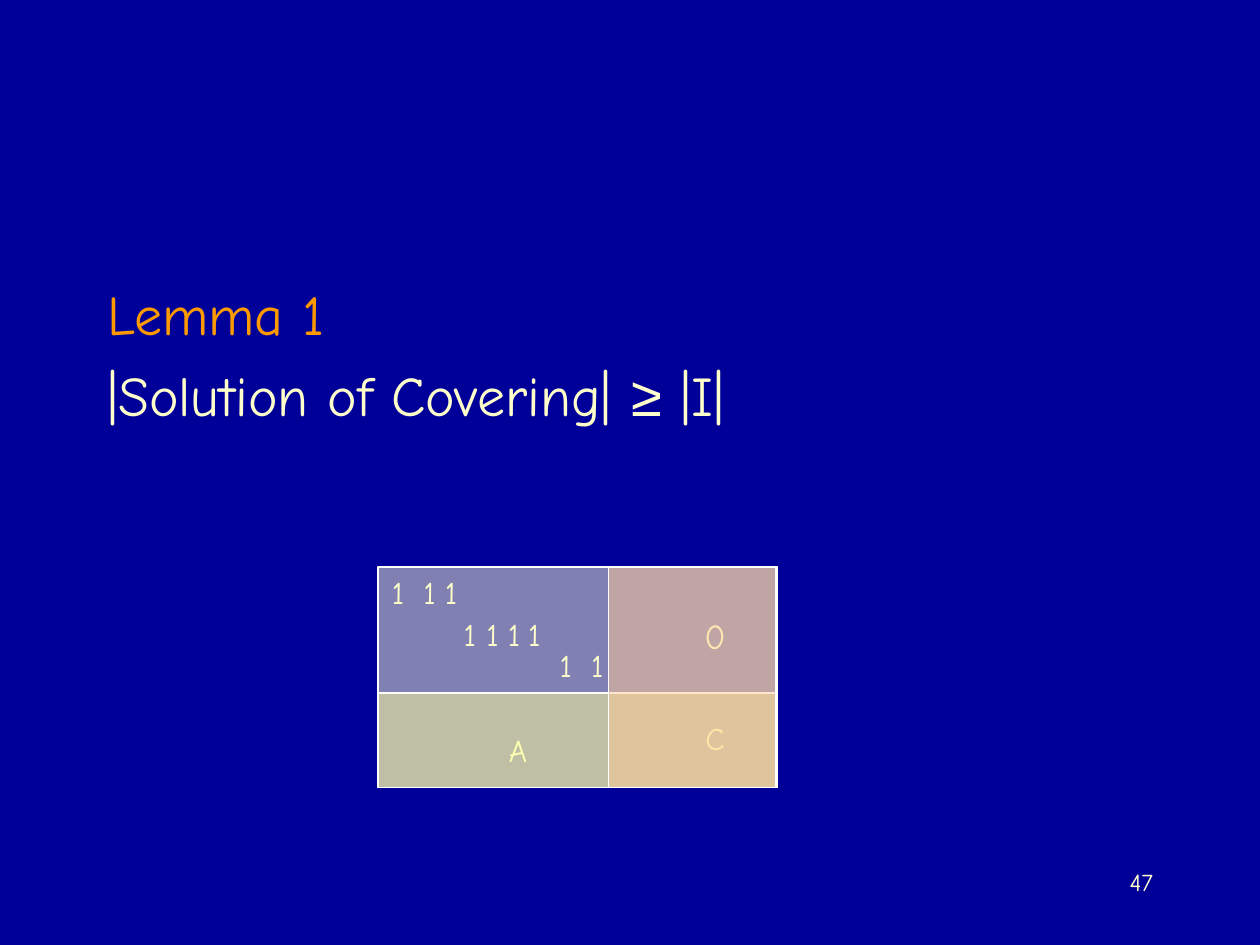
from dataclasses import dataclass

from lxml.etree import SubElement
from pptx import Presentation
from pptx.dml.color import RGBColor
from pptx.enum.shapes import MSO_SHAPE
from pptx.enum.text import MSO_ANCHOR, MSO_AUTO_SIZE, PP_ALIGN
from pptx.oxml.ns import qn
from pptx.util import Inches, Pt


@dataclass(frozen=True)
class Theme:
    """Colours, fonts and type sizes of the slide."""
    background: RGBColor = RGBColor(0x00, 0x00, 0x99)
    text: RGBColor = RGBColor(0xFF, 0xFF, 0xCC)
    heading: RGBColor = RGBColor(0xFF, 0x99, 0x00)
    outline: RGBColor = RGBColor(0xFF, 0xFF, 0xFF)
    lower_band: RGBColor = RGBColor(0xFF, 0xFF, 0x99)
    right_band: RGBColor = RGBColor(0xFF, 0xCC, 0x99)
    font: str = "Comic Neue"
    symbol_font: str = "Arial"
    body_size: Pt = Pt(32)
    block_size: Pt = Pt(20)
    entry_size: Pt = Pt(18)
    number_size: Pt = Pt(14)


THEME = Theme()


def style_font(font, size, color=THEME.text, name=THEME.font):
    """Set size, colour and typeface of a font."""
    font.size, font.name = size, name
    font.color.rgb = color


def place(shape, left, top, width, height):
    """Move a shape to a box given in inches."""
    shape.left, shape.top = Inches(left), Inches(top)
    shape.width, shape.height = Inches(width), Inches(height)


def add_lemma(page, left, top, width, height):
    """Fill the body placeholder with the lemma."""
    body = page.placeholders[1]
    place(body, left, top, width, height)
    frame = body.text_frame
    frame.auto_size = MSO_AUTO_SIZE.NONE
    lines = (
        (("Lemma 1", THEME.font),),
        (("|Solution of Covering| ", THEME.font), ("≥", THEME.symbol_font), (" |I|", THEME.font)),
    )
    for index, (line, color) in enumerate(zip(lines, (THEME.heading, THEME.text))):
        para = frame.add_paragraph() if index else frame.paragraphs[0]
        para.space_before = Pt(8)
        properties = para._p.get_or_add_pPr()
        properties.set("marL", str(Inches(0.38)))
        properties.set("indent", str(Inches(-0.38)))
        SubElement(properties, qn("a:buNone"))
        for text, name in line:
            span = para.add_run()
            span.text = text
            style_font(span.font, THEME.body_size, color, name)


def add_label(page, text, left, top, width, height, size,
              align=PP_ALIGN.CENTER, anchor=MSO_ANCHOR.MIDDLE, wrap=False):
    """Add a one-line text box."""
    label = page.shapes.add_textbox(Inches(left), Inches(top), Inches(width), Inches(height))
    frame = label.text_frame
    frame.word_wrap, frame.vertical_anchor = wrap, anchor
    para = frame.paragraphs[0]
    para.text, para.alignment = text, align
    style_font(para.font, size)


def add_panel(page, left, top, width, height, color):
    """Add a half-transparent outlined rectangle."""
    panel = page.shapes.add_shape(
        MSO_SHAPE.RECTANGLE, Inches(left), Inches(top), Inches(width), Inches(height))
    panel.shadow.inherit = False
    panel.fill.solid()
    panel.fill.fore_color.rgb = color
    fill_color = panel._element.spPr.find(qn("a:solidFill"))[0]
    SubElement(fill_color, qn("a:alpha"), val="50000")
    panel.line.color.rgb = THEME.outline
    panel.line.width = Pt(0.75)


def add_matrix(page, left, top, width, height):
    """Draw the block matrix with its entries beneath the tinted bands."""
    lower_height, right_offset, right_width = 0.75, 1.83, 1.33
    add_panel(page, left, top, width, height, THEME.text)
    rows = (
        (0.58, (1.59, 1.34)),
        (0.33, (1.09, 0.93, 0.76, 0.58)),
        (0, (0.43, 0.26)),
    )
    ones = [("1", column, row, 0.3, 0.4, THEME.entry_size)
            for row, columns in rows for column in columns]
    blocks = [
        ("0", 2.49, 0.32, 0.37, 0.44, THEME.block_size),
        ("C", 2.5, 1.16, 0.34, 0.4, THEME.entry_size),
        ("A", 0.94, 1.25, 0.34, 0.4, THEME.entry_size),
    ]
    corner = ("1", 0.01, 0, 0.3, 0.4, THEME.entry_size)
    for text, column, row, *box_and_size in [*ones, *blocks, corner]:
        add_label(page, text, left + column, top + row, *box_and_size)
    add_panel(page, left, top + height - lower_height, width, lower_height, THEME.lower_band)
    add_panel(page, left + right_offset, top, right_width, height, THEME.right_band)


def add_page_number(page, left, top, width, height):
    """Add the page number at the lower right."""
    add_label(page, "47", left, top, width, height, THEME.number_size,
              PP_ALIGN.RIGHT, MSO_ANCHOR.TOP, True)


def main():
    """Build and save the slide."""
    deck = Presentation()
    deck.slide_width, deck.slide_height = Inches(10), Inches(7.5)
    page = deck.slides.add_slide(deck.slide_layouts[1])
    page.background.fill.solid()
    page.background.fill.fore_color.rgb = THEME.background
    title = page.shapes.title._element
    title.getparent().remove(title)
    add_lemma(page, 0.75, 2.17, 8.5, 4.5)
    add_matrix(page, 3, 4.5, 3.17, 1.75)
    add_page_number(page, 7.17, 6.83, 2.08, 0.5)
    deck.save("out.pptx")


if __name__ == "__main__":
    main()
